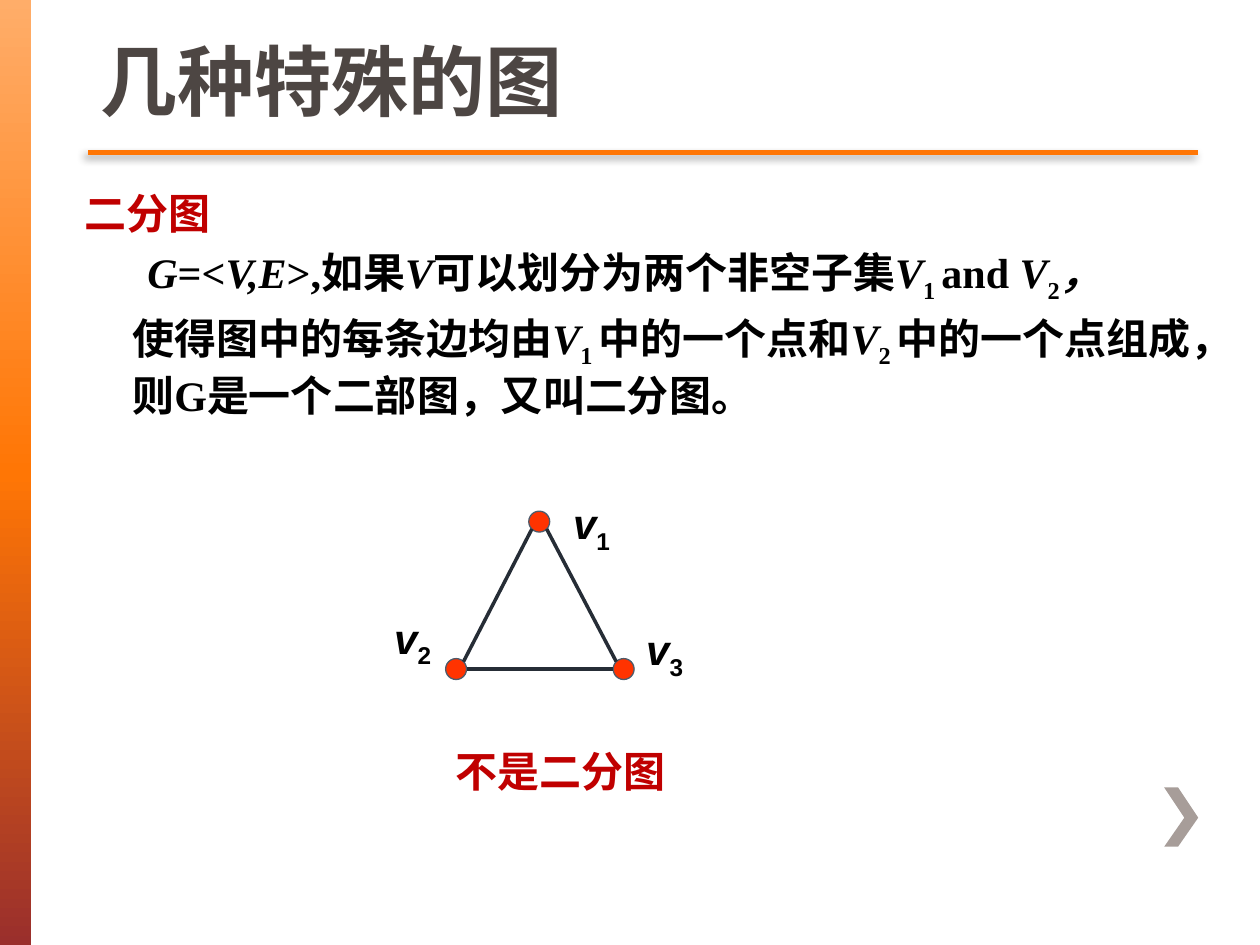
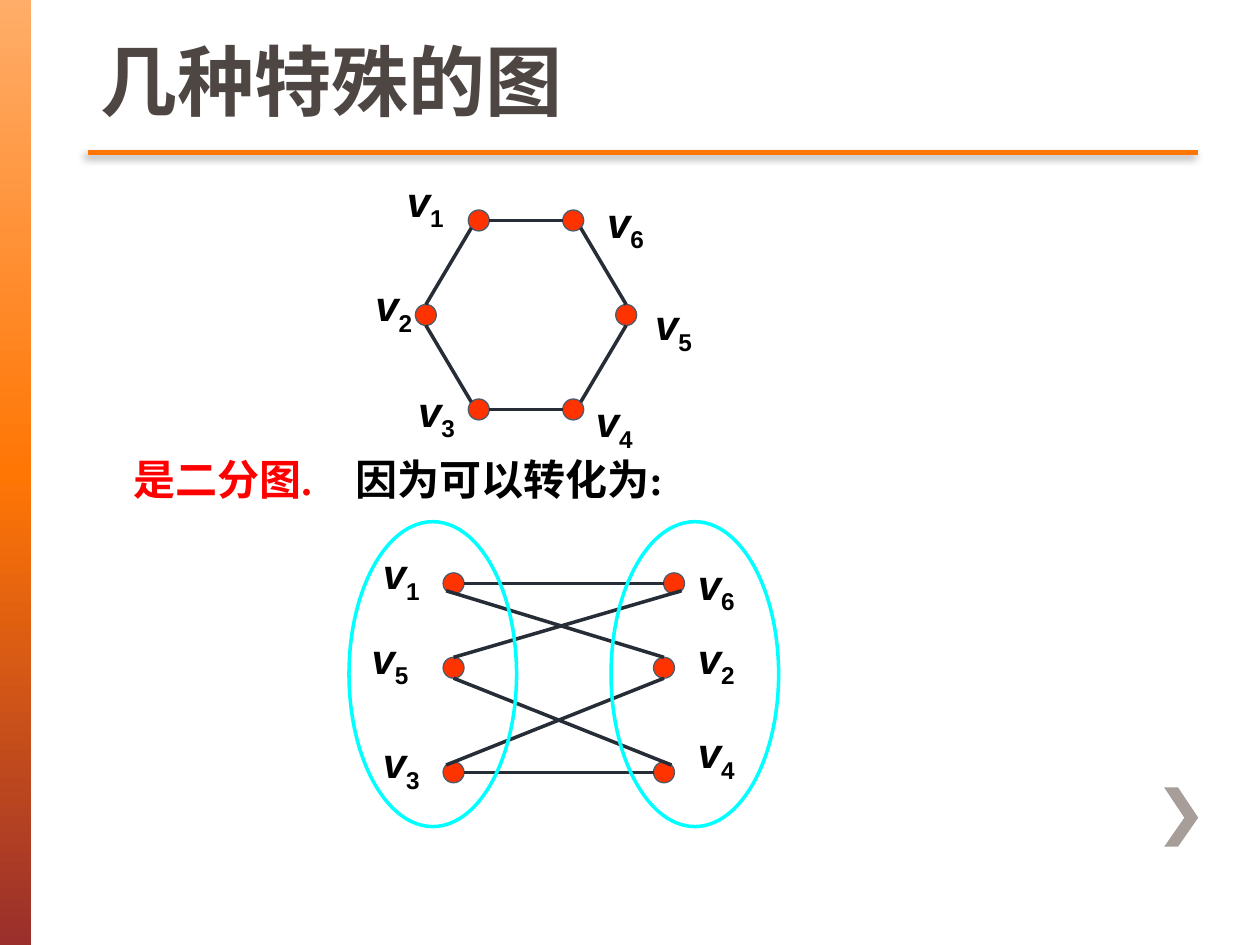
from dataclasses import dataclass
from math import cos, radians, sin

from pptx import Presentation
from pptx.dml.color import RGBColor
from pptx.enum.shapes import MSO_CONNECTOR as Connector, MSO_SHAPE as Preset
from pptx.enum.text import MSO_ANCHOR as Anchor, MSO_AUTO_SIZE as AutoSize, PP_ALIGN as Align
from pptx.oxml import parse_xml
from pptx.oxml.ns import nsdecls
from pptx.util import Inches, Pt


@dataclass(frozen=True)
class Theme:
    title: str = "4D4643"
    title_outline: str = "675D59"
    accent: str = "FF7605"
    band: tuple = ((0, "FFAD69"), (50, "FF7605"), (100, "9A2F2C"))
    chevron: str = "A79D99"
    ink: str = "000000"
    heading: str = "C00000"
    verdict: str = "FF0000"
    vertex: str = "FF3300"
    vertex_line: str = "4D5B6B"
    edge: str = "262D36"
    subset: str = "00FFFF"
    sans: str = "Arial"
    serif: str = "Times New Roman"
    title_size: int = 44
    text_size: int = 24
    space: float = 4.8


THEME = Theme()
TITLE = "几种特殊的图"
VERTEX_RADIUS = 0.083
SIDES = {"E": 0, "SE": 45, "S": 90, "SW": 135, "W": 180, "NW": 225, "N": 270, "NE": 315}

TRIANGLE = {
    1: ((4.28, 4.14), (4.45, 3.9)),
    2: ((3.62, 5.31), (3.03, 4.81)),
    3: ((4.95, 5.31), (5.03, 4.9)),
}
TRIANGLE_EDGES = [(2, "NE", 1, "SW"), (2, "E", 3, "W"), (3, "NW", 1, "SE")]

HEXAGON = {
    1: ((3.8, 1.75), (3.13, 1.34)),
    2: ((3.38, 2.5), (2.88, 2.17)),
    3: ((3.8, 3.25), (3.22, 3.01)),
    4: ((4.55, 3.25), (4.63, 3.09)),
    5: ((4.97, 2.5), (5.1, 2.32)),
    6: ((4.55, 1.75), (4.72, 1.51)),
}
TWO_COLUMNS = {
    1: ((3.6, 4.63), (2.94, 4.3)),
    5: ((3.6, 5.3), (2.85, 4.97)),
    3: ((3.6, 6.13), (2.94, 5.8)),
    6: ((5.35, 4.63), (5.44, 4.38)),
    2: ((5.27, 5.3), (5.44, 4.97)),
    4: ((5.27, 6.13), (5.44, 5.72)),
}
CYCLE_EDGES = [
    (1, "SW", 2, "N"), (2, "S", 3, "NW"), (3, "E", 4, "W"),
    (4, "NE", 5, "S"), (5, "N", 6, "SE"), (6, "W", 1, "E"),
]

DEFINITION = [
    (0, [("二分图", {"color": THEME.heading})]),
    (0.12, [
        ("G", {"italic": True}), ("=<", {}), ("V,E", {"italic": True}), (">,如果", {}),
        ("V", {"italic": True}), ("可以划分为两个非空子集", {}),
        ("V", {"italic": True}), ("1 ", {"subscript": True}), ("and ", {}),
        ("V", {"italic": True}), ("2", {"subscript": True}), ("，", {"italic": True}),
    ]),
    (0, [
        ("使得图中的每条边均由", {}), ("V", {"italic": True}), ("1 ", {"subscript": True}),
        ("中的一个点和", {}), ("V", {"italic": True}), ("2 ", {"subscript": True}),
        ("中的一个点组成，则G是一个二部图，又叫二分图。", {}),
    ]),
]


def rgb(color):
    return RGBColor.from_string(color)


def write(para, text, font=THEME.serif, size=THEME.text_size, color=THEME.ink,
          italic=False, subscript=False):
    span = para.add_run()
    span.text = text
    span.font.name = font
    span.font.size = Pt(size)
    span.font.bold = True
    span.font.italic = italic
    span.font.color.rgb = rgb(color)
    if subscript:
        span.font._element.set("baseline", "-25000")
    return span


def set_indent(para, left, first=0):
    props = para._p.get_or_add_pPr()
    props.set("marL", str(Inches(left)))
    props.set("indent", str(Inches(first)))
    props.append(parse_xml(f"<a:buNone {nsdecls('a')}/>"))


class SlideBuilder:
    def __init__(self, deck, theme):
        self.deck = deck
        self.theme = theme
        self.page = None

    def start(self, layout):
        self.page = self.deck.slides.add_slide(self.deck.slide_layouts[layout])
        self.band()
        self.chevron()
        rule = self.line((0.7, 1.21), (9.51, 1.21), self.theme.accent, 2.5)
        rule._element.spPr[-1].append(parse_xml(
            f'<a:outerShdw {nsdecls("a")} blurRad="{Pt(5)}" dist="{Pt(3)}" dir="8100000">'
            '<a:srgbClr val="000000"><a:alpha val="45000"/></a:srgbClr></a:outerShdw>'))
        self.title()

    def shape(self, preset, left, top, width, height, fill=None, line=None, weight=1):
        shape = self.page.shapes.add_shape(
            preset, Inches(left), Inches(top), Inches(width), Inches(height))
        return self.paint(shape, fill, line, weight)

    def paint(self, shape, fill=None, line=None, weight=1):
        shape.shadow.inherit = False
        if fill:
            shape.fill.solid()
            shape.fill.fore_color.rgb = rgb(fill)
        else:
            shape.fill.background()
        if line:
            shape.line.color.rgb = rgb(line)
            shape.line.width = Pt(weight)
        else:
            shape.line.fill.background()
        return shape

    def band(self):
        props = self.shape(Preset.RECTANGLE, 0, 0, 0.25, 7.5)._element.spPr
        stops = "".join(f'<a:gs pos="{place * 1000}"><a:srgbClr val="{color}"/></a:gs>'
                        for place, color in self.theme.band)
        gradient = parse_xml(f'<a:gradFill {nsdecls("a")}><a:gsLst>{stops}</a:gsLst>'
                             '<a:lin ang="5400000" scaled="0"/></a:gradFill>')
        props.replace(props.find("{*}noFill"), gradient)

    def chevron(self):
        outline = [(9.24, 6.25), (9.4, 6.49), (9.24, 6.72), (9.35, 6.72), (9.51, 6.49)]
        builder = self.page.shapes.build_freeform(Inches(9.35), Inches(6.25))
        builder.add_line_segments([(Inches(x), Inches(y)) for x, y in outline])
        self.paint(builder.convert_to_shape(), self.theme.chevron)

    def line(self, start, end, color, weight=2):
        line = self.page.shapes.add_connector(
            Connector.STRAIGHT, *(Inches(value) for value in (*start, *end)))
        line.line.color.rgb = rgb(color)
        line.line.width = Pt(weight)
        line._element.spPr.append(parse_xml(f"<a:effectLst {nsdecls('a')}/>"))
        return line

    def place(self, box, left, top, width, height, anchor=Anchor.TOP):
        box.left, box.top = Inches(left), Inches(top)
        box.width, box.height = Inches(width), Inches(height)
        frame = box.text_frame
        frame.word_wrap = True
        frame.auto_size = AutoSize.NONE
        frame.vertical_anchor = anchor
        return frame

    def title(self):
        frame = self.place(self.page.shapes.title, 0.7, 0, 8.76, 1.05, Anchor.BOTTOM)
        para = frame.paragraphs[0]
        para.alignment = Align.LEFT
        span = write(para, TITLE, self.theme.sans, self.theme.title_size, self.theme.title)
        span.font._element.insert(0, parse_xml(
            f'<a:ln {nsdecls("a")} w="{Pt(1)}"><a:solidFill>'
            f'<a:srgbClr val="{self.theme.title_outline}"/></a:solidFill></a:ln>'))

    def body(self, items):
        frame = self.place(self.page.placeholders[1], 0.57, 1.44, 9.09, 3.08)
        for index, (first, spans) in enumerate(items):
            para = frame.add_paragraph() if index else frame.paragraphs[0]
            set_indent(para, 0.38 if index else 0, first)
            para.space_before = Pt(self.theme.space if index else 0)
            for text, style in spans:
                write(para, text, **style)

    def text(self, left, top, width, height, spans, tab=None):
        box = self.page.shapes.add_textbox(0, 0, 0, 0)
        para = self.place(box, left, top, width, height).paragraphs[0]
        if tab:
            para._p.get_or_add_pPr().append(parse_xml(
                f'<a:tabLst {nsdecls("a")}><a:tab pos="{Inches(tab)}" algn="l"/></a:tabLst>'))
        for text, style in spans:
            write(para, text, **style)

    def graph(self, vertices, edges):
        def rim(number, side):
            x, y = vertices[number][0]
            angle = radians(SIDES[side])
            return x + VERTEX_RADIUS * cos(angle), y + VERTEX_RADIUS * sin(angle)

        size = 2 * VERTEX_RADIUS
        for number, ((x, y), label) in vertices.items():
            self.shape(Preset.FLOWCHART_CONNECTOR, x - VERTEX_RADIUS, y - VERTEX_RADIUS,
                       size, size, self.theme.vertex, self.theme.vertex_line, 0.75)
            self.text(*label, 0.75, 0.5, [
                ("v", {"font": self.theme.sans, "italic": True}),
                (str(number), {"font": self.theme.sans, "subscript": True})])
        for start, start_side, end, end_side in edges:
            self.line(rim(start, start_side), rim(end, end_side), self.theme.edge)


def main():
    deck = Presentation()
    deck.slide_width, deck.slide_height = Inches(10), Inches(7.5)
    slide = SlideBuilder(deck, THEME)

    slide.start(layout=1)
    slide.body(DEFINITION)
    slide.graph(TRIANGLE, TRIANGLE_EDGES)
    slide.text(3.52, 5.87, 3.76, 0.55, [("不是二分图", {"color": THEME.heading})])

    slide.start(layout=5)
    slide.graph(HEXAGON, CYCLE_EDGES)
    slide.text(0.96, 3.55, 6.38, 0.55, [
        ("是二分图.\t", {"color": THEME.verdict}), ("因为可以转化为:", {})], tab=1.76)
    slide.graph(TWO_COLUMNS, CYCLE_EDGES)
    for left in (2.77, 4.85):
        slide.shape(Preset.OVAL, left, 4.14, 1.33, 2.42, line=THEME.subset, weight=2)

    deck.save("out.pptx")


if __name__ == "__main__":
    main()
